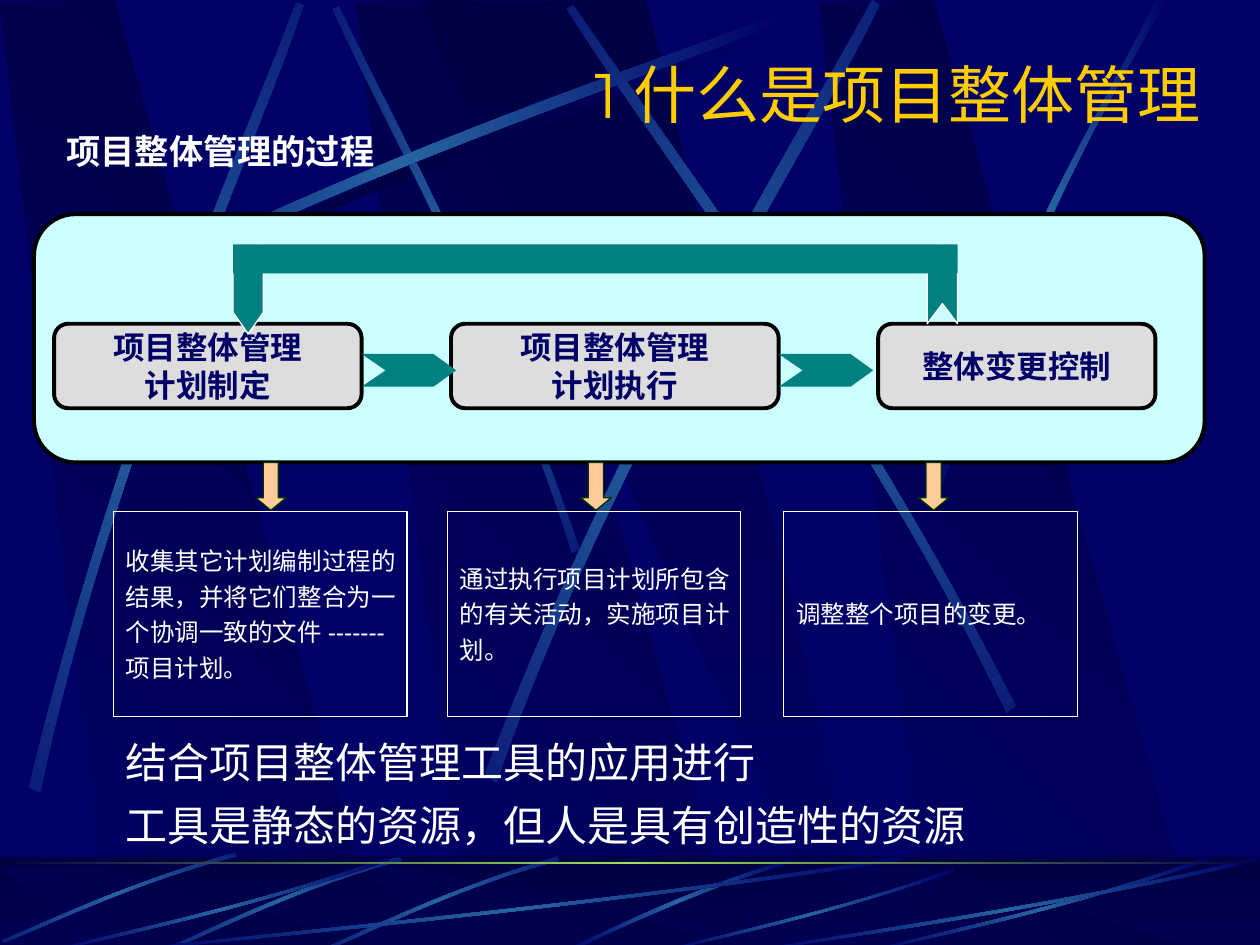
from copy import deepcopy
from math import cos, radians, sin

from lxml import etree
from pptx import Presentation
from pptx.dml.color import RGBColor
from pptx.enum.shapes import MSO_SHAPE
from pptx.enum.text import MSO_ANCHOR, PP_ALIGN
from pptx.oxml.ns import qn
from pptx.util import Pt

RECTANGLE = MSO_SHAPE.RECTANGLE
PROCESS = MSO_SHAPE.FLOWCHART_ALTERNATE_PROCESS
DOWN_ARROW = MSO_SHAPE.DOWN_ARROW
MIDDLE, TOP = MSO_ANCHOR.MIDDLE, MSO_ANCHOR.TOP
LEFT, CENTER, RIGHT = PP_ALIGN.LEFT, PP_ALIGN.CENTER, PP_ALIGN.RIGHT

EMU_PER_PX = 9144
NAVY, DARK, TEAL, WHITE = "000066", "000044", "008080", "FFFFFF"
GLOW = [NAVY, "2663A0", NAVY]
SHADE = [DARK, NAVY]

BAND = [(86, 750), (302, 752), (91, 0), (0, 2)]
BEAM = [(0, 1), (325, 751), (361, 751), (180, 0)]
SWEEP = [(617, 3), (349, 43), (106, 64), (3, 75), (0, 74), (102, 61), (380, 38), (614, 0)]
FAN = [(0, 257), (264, 115), (504, 41), (606, 0), (609, 6), (508, 51), (234, 133), (3, 267)]
SPARK = [(186, 0), (99, 25), (31, 60), (0, 73), (1, 75), (32, 63), (109, 23), (188, 3)]
CHEVRON = [(0, 0), (57, 0), (75, 13), (57, 26), (0, 26), (19, 13)]
CHEVRON_DOWN = [(y, x) for x, y in CHEVRON]
CHEVRON_UP = [(y, 75 - x) for x, y in CHEVRON]

STREAKS = [
    (45, [(460, 436), (391, 234), (302, 77), (269, 5), (264, 7), (295, 79), (398, 258), (454, 439)]),
    (0, [(x + 14, y + 10) for x, y in FAN]),
    (311.7, [(23, 625), (93, 334), (197, 105), (235, 2), (241, 4), (207, 108), (86, 368), (32, 629)]),
    (321.6, [(385, 614), (498, 320), (638, 102), (692, 0), (698, 4), (649, 108), (486, 355), (394, 621)]),
    (34.8, [(806, 560), (670, 293), (516, 95), (455, 4), (450, 7), (507, 101), (685, 325), (799, 566)]),
    (0, [(738, 393), (814, 173), (888, 66), (917, 0), (927, 0), (836, 145), (769, 322), (744, 397)]),
]
CURL = [(627, 682), (537, 709), (477, 742), (448, 754), (453, 755), (490, 737), (571, 700), (628, 685)]
SPARKS = [(256, 680, 188, 75), (131, 680, 188, 75), (2, 677, 186, 71)]
SWEEPS = [(100, 680, 617, 75), (42, 680, 267, 75), (527, 689, 231, 66),
          (692, 680, 267, 75), (600, 680, 400, 75)]

STEPS = [(43, 244, "项目整体管理\n计划制定"), (358, 260, "项目整体管理\n计划执行"),
         (697, 220, "整体变更控制")]
DETAILS = [
    (90, 215, "收集其它计划编制过程的\n结果，并将它们整合为一\n个协调一致的文件 -------\n项目计划。"),
    (355, 473, "通过执行项目计划所包含\n的有关活动，实施项目计\n划。"),
    (622, 741, "调整整个项目的变更。"),
]
NOTES = ["结合项目整体管理工具的应用进行", "工具是静态的资源，但人是具有创造性的资源"]


def color(value):
    """Turn a hex string into a colour."""
    return RGBColor.from_string(value)


def fit(outline, left, top, width, height):
    """Stretch an outline over a frame."""
    xs, ys = zip(*outline)
    across = width / (max(xs) - min(xs))
    down = height / (max(ys) - min(ys))
    return [(left + (x - min(xs)) * across, top + (y - min(ys)) * down) for x, y in outline]


def turn(point, angle):
    """Turn a point clockwise about the origin."""
    x, y = point
    a = radians(angle)
    return x * cos(a) - y * sin(a), x * sin(a) + y * cos(a)


def write(frame, text, *, size, font, ink, bold=False, align=LEFT, anchor=TOP,
          wrap=True, before=0, spacing=None):
    """Fill a text frame, one paragraph for each line."""
    frame.word_wrap = wrap
    frame.vertical_anchor = anchor
    for index, line in enumerate(text.split("\n")):
        para = frame.add_paragraph() if index else frame.paragraphs[0]
        para.alignment = align
        para.space_before = Pt(before)
        if spacing:
            para.line_spacing = spacing
        span = para.add_run()
        span.text = line
        span.font.size, span.font.name, span.font.bold = Pt(size), font, bold
        span.font.color.rgb = color(ink)


class Painter:
    """Holds the scale and the slide being drawn."""

    def __init__(self, slide, scale):
        self.slide, self.shapes, self.scale = slide, slide.shapes, scale

    def emu(self, *lengths):
        return [round(length * self.scale) for length in lengths]

    def finish(self, shape, fill, line, angle, width):
        shape.shadow.inherit = False
        if isinstance(fill, list):
            self.gradient(shape, fill, angle)
        elif fill:
            shape.fill.solid()
            shape.fill.fore_color.rgb = color(fill)
        else:
            shape.fill.background()
        if line:
            shape.line.color.rgb = color(line)
            shape.line.width = Pt(width)
        else:
            shape.line.fill.background()
        return shape

    def gradient(self, shape, hues, angle):
        shape.fill.gradient()
        shape.fill.gradient_angle = angle
        stops = shape._element.spPr.find(".//" + qn("a:gsLst"))
        while len(stops) < len(hues):
            stops.append(deepcopy(stops[0]))
        for index, (stop, hue) in enumerate(zip(shape.fill.gradient_stops, hues)):
            stop.color.rgb = color(hue)
            stop.position = index / (len(hues) - 1)

    def preset(self, kind, frame, fill=None, line=None, angle=0, width=0.75):
        shape = self.shapes.add_shape(kind, *self.emu(*frame))
        return self.finish(shape, fill, line, angle, width)

    def outline(self, points, fill, line=None, angle=0):
        first, *rest = [self.emu(*point) for point in points]
        builder = self.shapes.build_freeform(*first, scale=1.0)
        builder.add_line_segments(rest, close=True)
        return self.finish(builder.convert_to_shape(), fill, line, angle, 0.75)

    def streak(self, points, fill=GLOW, rotation=0):
        shape = self.outline([turn(point, -rotation) for point in points], fill)
        segments = shape._element.spPr.findall(".//" + qn("a:lnTo"))
        for group in (segments[:3], segments[4:7]):
            bend = etree.Element(qn("a:cubicBezTo"))
            group[0].addprevious(bend)
            for segment in group:
                bend.append(segment[0])
                segment.getparent().remove(segment)
        middle = shape.left + shape.width / 2, shape.top + shape.height / 2
        x, y = turn(middle, rotation)
        shape.left, shape.top = round(x - shape.width / 2), round(y - shape.height / 2)
        shape.rotation = rotation

    def bands(self, top, height):
        for left in (283, 0, 650):
            self.outline(fit(BAND, left, top, 302, height), SHADE, angle=225)
        self.outline(fit(BEAM, 333, top, 361, height), SHADE, angle=270)

    def veil(self, frame, fill, percent):
        shape = self.preset(RECTANGLE, frame, fill)
        hue = shape._element.spPr.find(".//" + qn("a:srgbClr"))
        etree.SubElement(hue, qn("a:alpha")).set("val", str(percent * 1000))

    def title(self, text, frame, **style):
        box = self.shapes.title
        self.shapes._spTree.append(box._element)
        box.left, box.top, box.width, box.height = self.emu(*frame)
        write(box.text_frame, text, **style)

    def text(self, text, frame, **style):
        box = self.shapes.add_textbox(*self.emu(*frame))
        write(box.text_frame, text, **style)


def draw_backdrop(painter):
    """Draw the dark bands and the light streaks."""
    fill = painter.slide.background.fill
    fill.solid()
    fill.fore_color.rgb = color(NAVY)
    painter.bands(0, 752)
    painter.streak([(x + 20, y + 18) for x, y in FAN], [NAVY, DARK, NAVY])
    for rotation, points in STREAKS:
        painter.streak(points, rotation=rotation)
    painter.preset(RECTANGLE, (0, 680, 1000, 75), SHADE, angle=270)
    painter.bands(688, 66)
    painter.veil((0, 679, 1000, 75), DARK, 50)
    painter.streak(CURL)
    for frame in SPARKS:
        painter.streak(fit(SPARK, *frame), rotation=314.9)
    for frame in SWEEPS:
        painter.streak(fit(SWEEP, *frame))
    painter.preset(RECTANGLE, (0, 684, 1000, 2), [DARK, "9CE157", DARK])


def draw_process(painter):
    """Draw the three steps, their loop and their details."""
    painter.preset(PROCESS, (27, 170, 929, 197), "CCFFFF", "000000", width=2.25)
    for left, width, label in STEPS:
        step = painter.preset(PROCESS, (left, 257, width, 67), "DDDDDD", "000000", width=2.25)
        write(step.text_frame, label, size=18, font="Times New Roman", ink=NAVY, bold=True,
              align=CENTER, anchor=MIDDLE, wrap=False)
    for left in (618, 287):
        painter.outline(fit(CHEVRON, left, 281, 75, 26), TEAL)
    for left, center, label in DETAILS:
        detail = painter.preset(RECTANGLE, (left, 406, 233, 163), line=WHITE)
        write(detail.text_frame, label, size=14, font="Arial", ink=WHITE,
              anchor=MIDDLE, wrap=False, before=3.5)
        arrow = painter.preset(DOWN_ARROW, (center - 12, 367, 24, 38), "FFCC99", "003300")
        arrow.adjustments[1] = 0.41
    painter.outline(fit(CHEVRON_UP, 736, 194, 24, 63), TEAL, WHITE)
    painter.outline(fit(CHEVRON_DOWN, 185, 194, 24, 71), TEAL, WHITE)
    painter.preset(RECTANGLE, (185, 194, 575, 23), TEAL)


def main():
    """Build and save the deck."""
    deck = Presentation()
    deck.slide_width, deck.slide_height = 1000 * EMU_PER_PX, 750 * EMU_PER_PX
    painter = Painter(deck.slides.add_slide(deck.slide_layouts[5]), EMU_PER_PX)
    draw_backdrop(painter)
    painter.title("1 什么是项目整体管理", (113, 39, 850, 70), size=36, font="Montserrat",
                  ink="FFCC00", align=RIGHT, anchor=MIDDLE)
    painter.text("项目整体管理的过程", (43, 107, 750, 58), size=19.6, font="Arial",
                 ink=WHITE, bold=True, before=7, spacing=0.7)
    draw_process(painter)
    for index, note in enumerate(NOTES):
        painter.text(note, (90, 580 + 50 * index, 692, 50), size=24, font="Lato",
                     ink=WHITE, before=6)
    deck.save("out.pptx")


if __name__ == "__main__":
    main()
